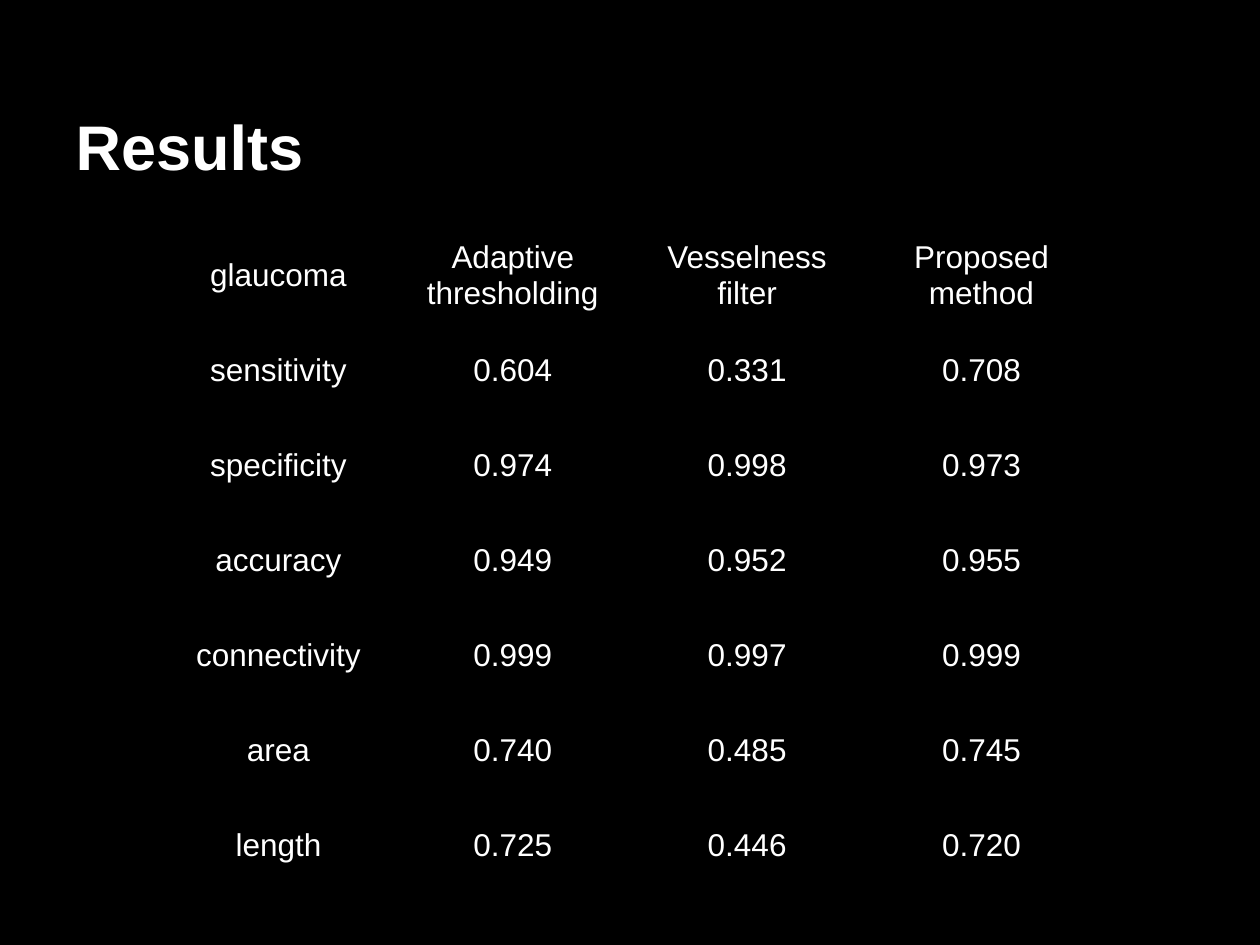
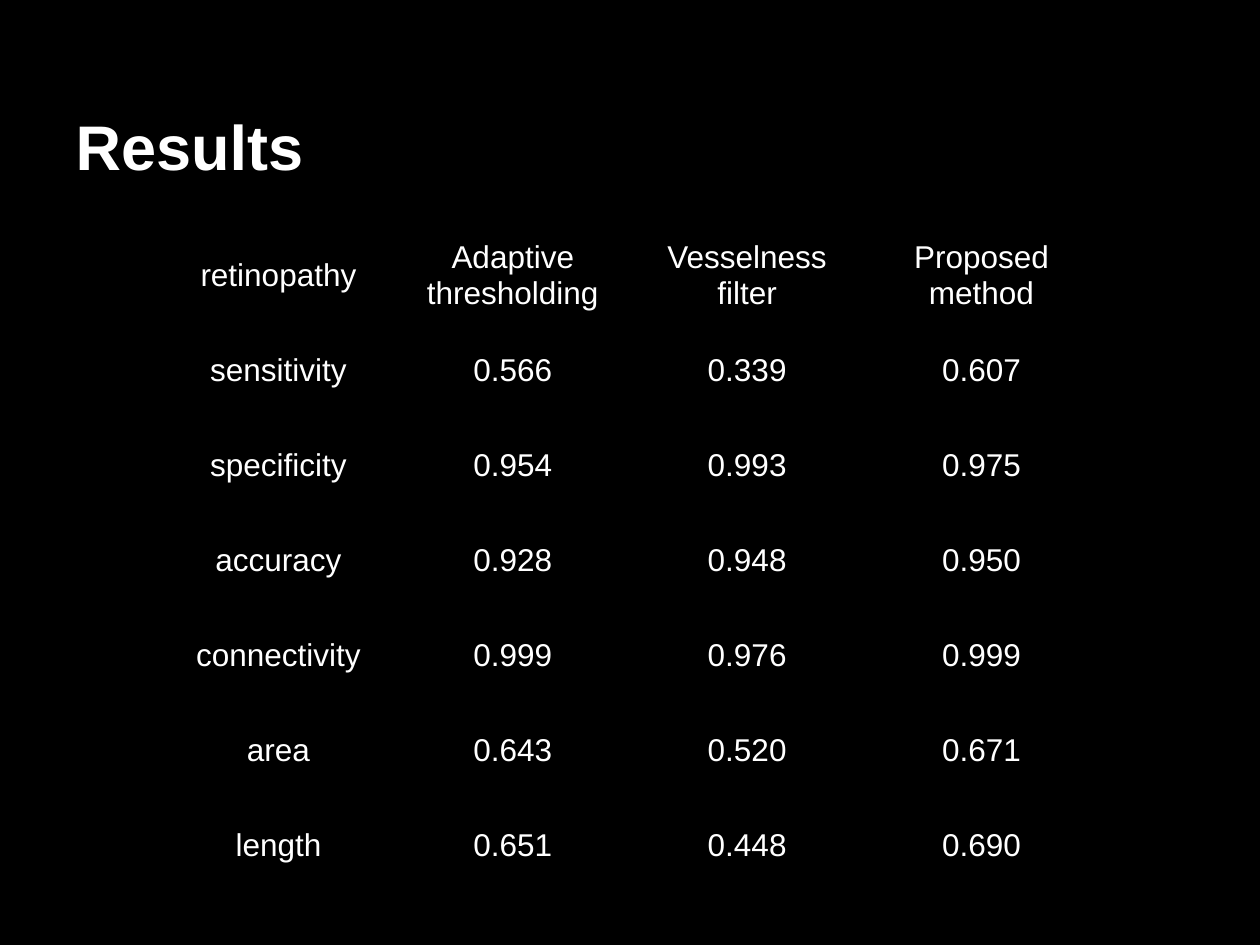
from pptx import Presentation
from pptx.dml.color import RGBColor as RGB
from pptx.enum.text import MSO_ANCHOR as Anchor, MSO_AUTO_SIZE as Fit, PP_ALIGN as Align
from pptx.oxml.ns import qn
from pptx.util import Pt

HUES = {"back": "000000", "text": "FFFFFF"}
FONT = "Arial"
PLAIN = "{2D5ABB26-0587-4C30-8999-92F81FD0307C}"  # table style without grid
HEADS = ["Adaptive thresholding", "Vesselness filter", "Proposed method"]
RATES = ["sensitivity", "specificity", "accuracy", "connectivity", "area", "length"]

# One row of scores for each rate, one column for each method
SCORES = {
    "glaucoma": [
        ["0.604", "0.331", "0.708"],
        ["0.974", "0.998", "0.973"],
        ["0.949", "0.952", "0.955"],
        ["0.999", "0.997", "0.999"],
        ["0.740", "0.485", "0.745"],
        ["0.725", "0.446", "0.720"],
    ],
    "retinopathy": [
        ["0.566", "0.339", "0.607"],
        ["0.954", "0.993", "0.975"],
        ["0.928", "0.948", "0.950"],
        ["0.999", "0.976", "0.999"],
        ["0.643", "0.520", "0.671"],
        ["0.651", "0.448", "0.690"],
    ],
}


def style(para, size, align, bold=False):
    para.alignment = align
    for run in para.runs:
        font = run.font
        font.name, font.size, font.bold = FONT, Pt(size), bold
        font.color.rgb = RGB.from_string(HUES["text"])


# Page size and shared black background
deck = Presentation()
deck.slide_width, deck.slide_height = Pt(720), Pt(540)
fill = deck.slide_master.background.fill
fill.solid()
fill.fore_color.rgb = RGB.from_string(HUES["back"])

for illness, scores in SCORES.items():
    slide = deck.slides.add_slide(deck.slide_layouts[5])

    # Title
    title = slide.shapes.title
    title.left, title.top, title.width, title.height = Pt(36), Pt(7.2), Pt(648), Pt(104.4)
    frame = title.text_frame
    frame.text = "Results"
    frame.auto_size = Fit.NONE
    frame.vertical_anchor = Anchor.BOTTOM
    frame.margin_left = frame.margin_right = Pt(7.2)
    frame.margin_top = frame.margin_bottom = Pt(7.2)
    style(frame.paragraphs[0], 36, Align.LEFT, bold=True)

    # Table of scores
    rows = [[illness] + HEADS] + [[rate] + row for rate, row in zip(RATES, scores)]
    table = slide.shapes.add_table(
        len(rows), len(rows[0]), Pt(92.16), Pt(130.32), Pt(535.68), Pt(380.16)).table
    table.first_row = table.horz_banding = False
    table._tbl.tblPr.find(qn("a:tableStyleId")).text = PLAIN
    for r, row in enumerate(rows):
        for c, word in enumerate(row):
            cell = table.cell(r, c)
            cell.text_frame.text = word
            cell.fill.background()
            cell.vertical_anchor = Anchor.MIDDLE
            cell.margin_left = cell.margin_right = Pt(2.88)
            cell.margin_top = cell.margin_bottom = Pt(3.6)
            style(cell.text_frame.paragraphs[0], 18, Align.CENTER)

deck.save("out.pptx")
